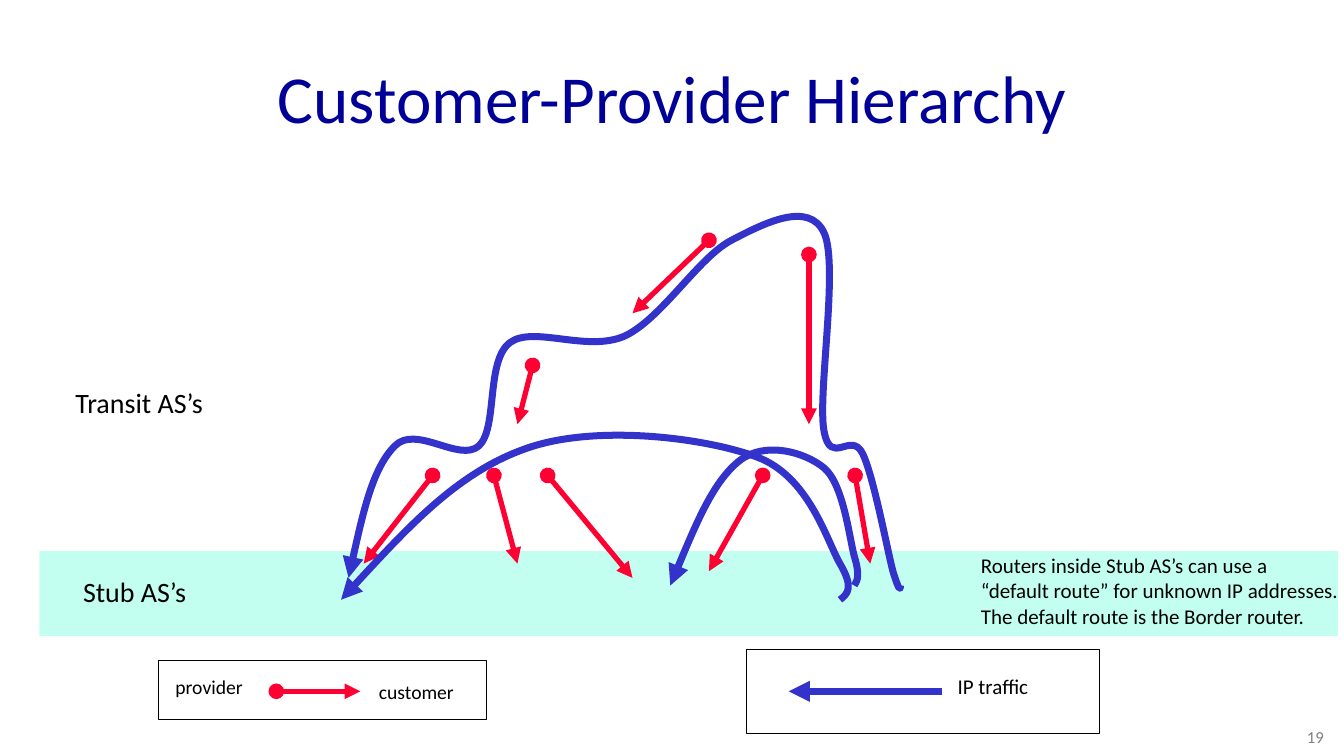
from dataclasses import dataclass

from lxml import etree
from pptx import Presentation
from pptx.dml.color import RGBColor
from pptx.enum.shapes import MSO_CONNECTOR, MSO_SHAPE
from pptx.enum.text import MSO_ANCHOR, MSO_AUTO_SIZE, PP_ALIGN
from pptx.oxml.ns import qn
from pptx.util import Inches, Pt

STRAIGHT = MSO_CONNECTOR.STRAIGHT
RECTANGLE = MSO_SHAPE.RECTANGLE
TOP, MIDDLE = MSO_ANCHOR.TOP, MSO_ANCHOR.MIDDLE
FIT_SHAPE, NO_FIT = MSO_AUTO_SIZE.SHAPE_TO_FIT_TEXT, MSO_AUTO_SIZE.NONE
LEFT, CENTER, RIGHT = PP_ALIGN.LEFT, PP_ALIGN.CENTER, PP_ALIGN.RIGHT

BLACK = RGBColor(0x00, 0x00, 0x00)
GRAY = RGBColor(0x80, 0x80, 0x80)
NAVY = RGBColor(0x00, 0x00, 0x99)
MINT = RGBColor(0xC2, 0xFF, 0xF0)
RED = RGBColor(0xFF, 0x00, 0x33)
BLUE = RGBColor(0x33, 0x33, 0xCC)
FONT = "Calibri"

Point = tuple[float, float]
Box = tuple[float, float, float, float]


@dataclass
class Label:
    text: str
    box: Box
    size: float
    color: RGBColor = BLACK
    align: PP_ALIGN = LEFT
    anchor: MSO_ANCHOR = TOP
    wrap: bool = False
    inset: Point = (0.1, 0.05)


@dataclass
class Arrow:
    start: Point
    end: Point
    color: RGBColor = RED
    width: float = 4.5
    dot: bool = True


STUB_BAND = (0.47, 6.56, 15.46, 1.01)
LEGEND_FRAMES = [(1.89, 7.86, 3.9, 0.7), (8.89, 7.73, 4.2, 1)]
STUB_NOTE = (
    "Routers inside Stub AS’s can use a\n"
    "“default route” for unknown IP addresses.\n"
    "The default route is the Border router."
)

LABELS = [
    Label("Customer-Provider Hierarchy", (2.9, 0.8, 10.2, 0.7), 57.6, NAVY, CENTER, MIDDLE, True),
    Label("Transit AS’s", (0.8, 4.54, 1.73, 0.5), 24),
    Label("Stub AS’s", (0.89, 6.79, 1.96, 0.5), 24),
    Label(STUB_NOTE, (11.58, 6.53, 4.5, 1.01), 18),
    Label("provider", (1.99, 7.98, 1.01, 0.38), 16.8),
    Label("customer", (4.39, 8.03, 1.15, 0.4), 16.8, inset=(0.12, 0.06)),
    Label("IP traffic", (11.28, 7.96, 1.1, 0.42), 18, inset=(0.12, 0.06)),
    Label("19", (12.53, 8.6, 3.33, 0.6), 14.4, GRAY, RIGHT, wrap=True),
]

ARROWS = [
    Arrow((3.29, 8.23), (4.29, 8.23)),
    Arrow((10.18, 5.66), (10.36, 6.71)),
    Arrow((6.52, 5.66), (7.53, 6.88)),
    Arrow((5.15, 5.66), (4.33, 6.71)),
    Arrow((6.34, 4.35), (6.16, 5.05)),
    Arrow((8.44, 2.86), (7.53, 3.73)),
    Arrow((9.08, 5.66), (8.44, 6.8)),
    Arrow((5.88, 5.66), (6.16, 6.71)),
    Arrow((9.63, 3.03), (9.63, 5.05)),
    Arrow((11.22, 8.23), (9.39, 8.23), BLUE, 6, False),
]

TRAFFIC_CURVES = [
    [
        (10.72, 6.97),
        (10.72, 7.02), (10.71, 7.06), (10.63, 6.8),
        (10.56, 6.53), (10.4, 5.67), (10.27, 5.4),
        (10.13, 5.12), (9.89, 5.57), (9.81, 5.13),
        (9.73, 4.7), (9.99, 3.15), (9.81, 2.77),
        (9.63, 2.39), (9.11, 2.65), (8.71, 2.86),
        (8.32, 3.06), (7.88, 3.79), (7.44, 4),
        (6.99, 4.2), (6.35, 3.87), (6.07, 4.08),
        (5.78, 4.3), (5.93, 5.1), (5.7, 5.31),
        (5.47, 5.51), (4.95, 5.05), (4.7, 5.31),
        (4.44, 5.57), (4.29, 6.23), (4.15, 6.88),
    ],
    [
        (10.17, 6.97),
        (10.21, 6.91), (10.24, 6.85), (10.17, 6.62),
        (10.11, 6.39), (10.04, 5.76), (9.81, 5.57),
        (9.58, 5.38), (9.11, 5.25), (8.81, 5.48),
        (8.5, 5.72), (8.24, 6.34), (7.98, 6.97),
    ],
    [
        (10, 7.14),
        (10.09, 7.07), (10.17, 7), (10, 6.71),
        (9.84, 6.43), (9.63, 5.67), (9.01, 5.44),
        (8.39, 5.21), (7.11, 5.05), (6.29, 5.33),
        (5.46, 5.61), (4.76, 6.38), (4.06, 7.14),
    ],
]


def inches(values: tuple[float, ...]) -> list[int]:
    return [Inches(v) for v in values]


def style_line(sp, color: RGBColor, width: float, dot: bool = False) -> None:
    sp.line.color.rgb = color
    sp.line.width = Pt(width)
    ln = sp._element.spPr.find(qn("a:ln"))
    if dot:
        etree.SubElement(ln, qn("a:headEnd"), type="oval")
    etree.SubElement(ln, qn("a:tailEnd"), type="triangle")


def add_rect(shapes, box: Box, fill: RGBColor | None = None) -> None:
    sp = shapes.add_shape(RECTANGLE, *inches(box))
    sp.shadow.inherit = False
    if fill is None:
        sp.fill.background()
        sp.line.color.rgb = BLACK
        sp.line.width = Pt(0.75)
    else:
        sp.fill.solid()
        sp.fill.fore_color.rgb = fill
        sp.line.fill.background()


def add_label(shapes, label: Label) -> None:
    tf = shapes.add_textbox(*inches(label.box)).text_frame
    tf.word_wrap = label.wrap
    tf.auto_size = NO_FIT if label.wrap else FIT_SHAPE
    tf.vertical_anchor = label.anchor
    tf.margin_left = tf.margin_right = Inches(label.inset[0])
    tf.margin_top = tf.margin_bottom = Inches(label.inset[1])
    tf.text = label.text
    for p in tf.paragraphs:
        p.alignment = label.align
        for r in p.runs:
            r.font.name = FONT
            r.font.size = Pt(label.size)
            r.font.color.rgb = label.color


def add_arrow(shapes, arrow: Arrow) -> None:
    sp = shapes.add_connector(STRAIGHT, *inches(arrow.start + arrow.end))
    style_line(sp, arrow.color, arrow.width, arrow.dot)
    etree.SubElement(sp._element.spPr, qn("a:effectLst"))


def add_curve(shapes, points: list[Point]) -> None:
    start, *controls = [inches(point) for point in points]
    builder = shapes.build_freeform(*start, scale=1.0)
    builder.add_line_segments(controls, close=False)
    sp = builder.convert_to_shape()
    segments = list(sp._element.iter(qn("a:lnTo")))
    for i in range(0, len(segments), 3):
        bezier = etree.Element(qn("a:cubicBezTo"))
        segments[i].addprevious(bezier)
        for segment in segments[i:i + 3]:
            bezier.append(segment[0])
            segment.getparent().remove(segment)
    sp.shadow.inherit = False
    sp.fill.background()
    style_line(sp, BLUE, 6)


def main() -> None:
    prs = Presentation()
    prs.slide_width, prs.slide_height = Inches(16), Inches(9)
    shapes = prs.slides.add_slide(prs.slide_layouts[6]).shapes
    add_rect(shapes, STUB_BAND, MINT)
    for frame in LEGEND_FRAMES:
        add_rect(shapes, frame)
    for label in LABELS:
        add_label(shapes, label)
    for arrow in ARROWS:
        add_arrow(shapes, arrow)
    for curve in TRAFFIC_CURVES:
        add_curve(shapes, curve)
    prs.save("out.pptx")


if __name__ == "__main__":
    main()
